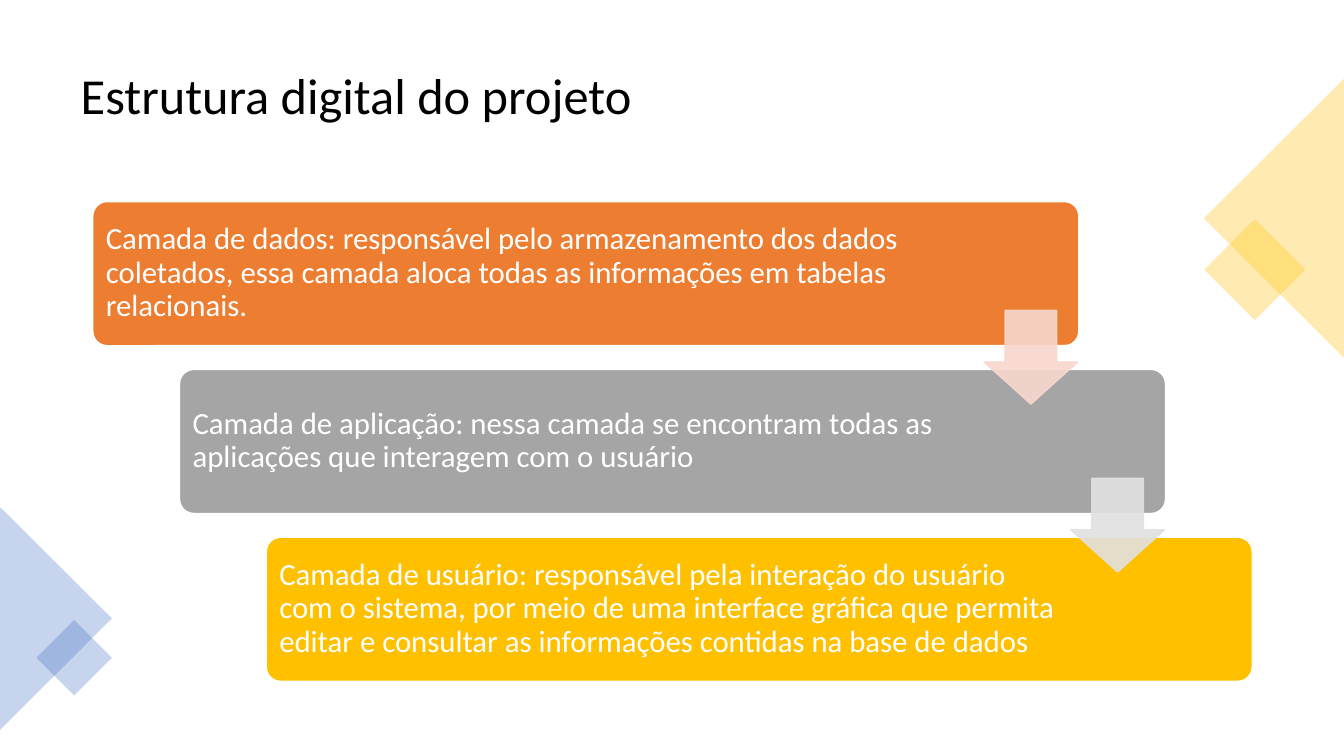
from lxml import etree
from pptx import Presentation
from pptx.dml.color import RGBColor
from pptx.enum.shapes import MSO_SHAPE
from pptx.enum.text import MSO_ANCHOR, MSO_AUTO_SIZE, PP_ALIGN
from pptx.oxml.ns import qn
from pptx.util import Inches, Pt

RECT, TRI = MSO_SHAPE.RECTANGLE, MSO_SHAPE.ISOSCELES_TRIANGLE
CARD, ARROW = MSO_SHAPE.ROUNDED_RECTANGLE, MSO_SHAPE.DOWN_ARROW
MIDDLE, LEFT, FIXED = MSO_ANCHOR.MIDDLE, PP_ALIGN.LEFT, MSO_AUTO_SIZE.NONE
COLORS = {
    "black": "000000", "white": "FFFFFF", "gold": "FFC000", "blue": "4472C4",
    "orange": "ED7D31", "gray": "A5A5A5", "peach": "F8D7CE", "silver": "E1E1E1",
}

prs = Presentation()
prs.slide_width, prs.slide_height = Inches(13.33), Inches(7.5)
slide = prs.slides.add_slide(prs.slide_layouts[5])


def add_block(kind, box, fill, line=None, alpha=100):
    """Add a filled shape; alpha is the opacity in percent of fill and line."""
    block = slide.shapes.add_shape(kind, *map(Inches, box))
    block.shadow.inherit = False
    block.fill.solid()
    block.fill.fore_color.rgb = RGBColor.from_string(COLORS[fill])
    if line:
        block.line.color.rgb = RGBColor.from_string(COLORS[line])
        block.line.width = Pt(1)
    else:
        block.line.fill.background()
    if alpha < 100:
        for tint in block._element.spPr.iter(qn("a:srgbClr")):
            etree.SubElement(tint, qn("a:alpha"), val=str(alpha * 1000))
    return block


def set_text(shape, text, size, color):
    frame = shape.text_frame
    frame.text = text
    frame.word_wrap = True
    frame.auto_size = FIXED
    frame.vertical_anchor = MIDDLE
    para = frame.paragraphs[0]
    para.alignment = LEFT
    para.line_spacing = 0.9
    font = para.runs[0].font
    font.name, font.size = "Calibri", Pt(size)
    font.color.rgb = RGBColor.from_string(COLORS[color])


# Title
title = slide.shapes.title
title.left, title.top = Inches(0.7), Inches(0.35)
title.width, title.height = Inches(11.93), Inches(1.24)
set_text(title, "Estrutura digital do projeto", 36, "black")

# Corner decoration
corners = [
    (RECT, (12.09, 2.32, 0.71, 0.71), 45, "gold"),
    (TRI, (11.25, 1.47, 2.77, 1.39), 270, "gold"),
    (TRI, (-0.55, 5.58, 2.21, 1.11), 90, "blue"),
    (RECT, (0.47, 6.26, 0.53, 0.53), 45, "blue"),
]
for kind, box, turn, color in corners:
    add_block(kind, box, color, alpha=30).rotation = turn

# Stepped layers
layers = [
    ("orange", 8.23, "Camada de dados: responsável pelo armazenamento dos dados "
     "coletados, essa camada aloca todas as informações em tabelas relacionais."),
    ("gray", 7.9, "Camada de aplicação: nessa camada se encontram todas as "
     "aplicações que interagem com o usuário"),
    ("gold", 7.9, "Camada de usuário: responsável pela interação do usuário com o "
     "sistema, por meio de uma interface gráfica que permita editar e consultar "
     "as informações contidas na base de dados"),
]
STEP_X, STEP_Y = 0.86, 1.665
for i, (color, width, text) in enumerate(layers):
    left, top = 0.92 + i * STEP_X, 2 + i * STEP_Y
    card = add_block(CARD, (left, top, 9.78, 1.43), color, "white")
    card.adjustments[0] = 0.1
    label = slide.shapes.add_textbox(
        *map(Inches, (left + 0.04, top + 0.04, width, 1.34)))
    set_text(label, text, 22, "white")
    frame = label.text_frame
    frame.margin_left = frame.margin_right = Inches(0.09)
    frame.margin_top = frame.margin_bottom = Inches(0.09)

# Arrows between layers
for i, color in enumerate(["peach", "silver"]):
    box = (9.76 + i * STEP_X, 3.08 + i * STEP_Y, 0.93, 0.93)
    arrow = add_block(ARROW, box, color, color, 90)
    arrow.adjustments[0] = 0.55
    arrow.adjustments[1] = 0.45

prs.save("out.pptx")
